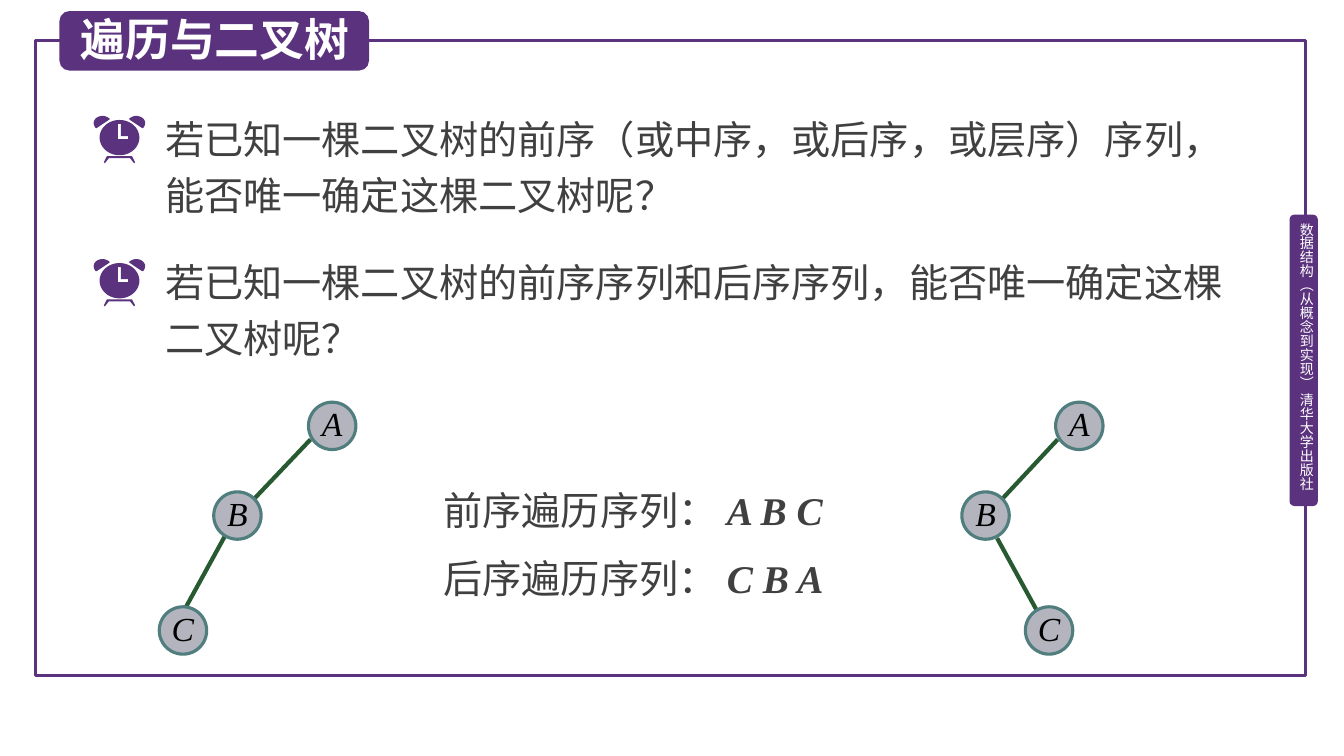
import math

import pptx
import pptx.dml.color
import pptx.enum.shapes
import pptx.enum.text
import pptx.oxml.ns
import pptx.util
from lxml import etree

PURPLE = pptx.dml.color.RGBColor(0x5A, 0x32, 0x7D)
WHITE = pptx.dml.color.RGBColor(0xFF, 0xFF, 0xFF)
BLACK = pptx.dml.color.RGBColor(0x00, 0x00, 0x00)
GREY = pptx.dml.color.RGBColor(0x40, 0x40, 0x40)
EDGE_GREEN = pptx.dml.color.RGBColor(0x28, 0x5A, 0x32)
NODE_FILL = pptx.dml.color.RGBColor(0xB4, 0xB4, 0xBE)
NODE_RIM = pptx.dml.color.RGBColor(0x50, 0x7D, 0x7D)

CHINESE = "Noto Sans CJK SC"
ROMAN = "Times New Roman"
SHAPES = pptx.enum.shapes.MSO_SHAPE

# The slide is a grid of square cells, ten to the inch
COLUMNS, ROWS = 133.3, 75
NODE = 4.7


def cells(count):
    return pptx.util.Inches(count / 10)


def add_span(para, text, size, color, font=CHINESE, bold=False, italic=False):
    span = para.add_run()
    span.text = text
    span.font.size = pptx.util.Pt(size)
    span.font.name = font
    span.font.bold = bold
    span.font.italic = italic
    span.font.color.rgb = color
    properties = span.font._element
    east_asian = etree.SubElement(properties, pptx.oxml.ns.qn("a:ea"))
    east_asian.set("typeface", font)


def add_preset(shapes, kind, box, fill=None, line=None):
    shape = shapes.add_shape(kind, *map(cells, box))
    shape.shadow.inherit = False
    if fill is None:
        shape.fill.background()
    else:
        shape.fill.solid()
        shape.fill.fore_color.rgb = fill
    if line is None:
        shape.line.fill.background()
    else:
        shape.line.color.rgb = line
        shape.line.width = pptx.util.Pt(2.25)
    return shape


def add_text_box(shapes, box):
    text_box = shapes.add_textbox(*map(cells, box))
    frame = text_box.text_frame
    frame.word_wrap = True
    frame.auto_size = pptx.enum.text.MSO_AUTO_SIZE.SHAPE_TO_FIT_TEXT
    return text_box, frame.paragraphs[0]


def clear_margins(frame):
    frame.margin_left = frame.margin_right = 0
    frame.margin_top = frame.margin_bottom = 0


def add_outline(shapes, left, top, contours):
    placed = [[(cells(left + x), cells(top + y)) for x, y in contour]
              for contour in contours]
    builder = shapes.build_freeform(*placed[0][0])
    builder.add_line_segments(placed[0][1:])
    for contour in placed[1:]:
        builder.move_to(*contour[0])
        builder.add_line_segments(contour[1:])
    shape = builder.convert_to_shape()
    shape.shadow.inherit = False
    shape.fill.solid()
    shape.fill.fore_color.rgb = PURPLE
    shape.line.fill.background()


def curve(start, first, second, end, steps=10):
    points = []
    for step in range(steps + 1):
        t = step / steps
        weights = ((1 - t) ** 3, 3 * t * (1 - t) ** 2, 3 * t * t * (1 - t), t ** 3)
        controls = (start, first, second, end)
        points.append(tuple(sum(w * p[axis] for w, p in zip(weights, controls))
                            for axis in (0, 1)))
    return points


def add_clock(shapes, left, top):
    width = 5.1
    feet = [(4.1, 4.6), (3.8, 4.0), (1.3, 4.0), (1.0, 4.6),
            (1.1, 4.7), (1.5, 4.2), (3.6, 4.2), (4.0, 4.7)]
    bell = (curve((0.9, 0), (0.4, 0), (0, 0.3), (0, 0.7))
            + curve((0, 0.7), (0, 0.9), (0.1, 1.1), (0.2, 1.2))
            + [(0.3, 1.2), (1.5, 0.4)]
            + curve((1.6, 0.3), (1.4, 0.1), (1.1, 0), (0.9, 0)))
    turns = [math.radians(angle) for angle in range(0, 360, 6)]
    face = [(width / 2 + 1.97 * math.cos(turn), 2.15 + 1.75 * math.sin(turn))
            for turn in turns]
    hands = [(2.4, 0.8), (2.7, 0.8), (2.7, 2.0), (3.4, 2.0), (3.4, 2.3), (2.4, 2.3)]
    mirrored_bell = [(width - x, y) for x, y in bell]
    for contours in ([feet], [bell], [mirrored_bell], [face, hands]):
        add_outline(shapes, left, top, contours)


def add_frame(page, box):
    left, top, width, height = box
    add_preset(page.shapes, SHAPES.RECTANGLE, box, line=PURPLE)
    # Side tab on the right border
    tab = page.shapes.add_group_shape().shapes
    tab_left, tab_top = left + width - 1.6, top + 17.3
    add_preset(tab, SHAPES.ROUNDED_RECTANGLE, (tab_left, tab_top, 2.8, 28.9), fill=PURPLE)
    label, para = add_text_box(tab, (tab_left + 0.8, tab_top + 0.8, 1.7, 28.1))
    clear_margins(label.text_frame)
    label.element.txBody.bodyPr.set("vert", "eaVert")
    add_span(para, "数据结构（从概念到实现） 清华大学出版社", 10, WHITE)


def add_title(page, box, text):
    left, top, width, height = box
    add_preset(page.shapes, SHAPES.ROUNDED_RECTANGLE, box, fill=PURPLE)
    label, para = add_text_box(page.shapes, (left + 1.1, top - 0.4, width - 1, height + 0.5))
    add_span(para, text, 32, WHITE, bold=True)


def add_question(page, box, text):
    left, top, width, height = box
    group = page.shapes.add_group_shape().shapes
    label, para = add_text_box(group, (left + 6.1, top, width - 6.1, height))
    para.line_spacing = pptx.util.Pt(40)
    add_span(para, text, 28, GREY)
    add_clock(group, left, top + 1.4)


def add_sequence(page, box, name, letters):
    label, para = add_text_box(page.shapes, box)
    para.alignment = pptx.enum.text.PP_ALIGN.JUSTIFY
    add_span(para, name, 28, GREY)
    add_span(para, letters, 28, GREY, ROMAN, bold=True, italic=True)


def add_tree(page, left, top, nodes, edges):
    """Edges run between points given relative to each node's corner."""
    group = page.shapes.add_group_shape().shapes
    for parent, start, child, end in edges:
        ends = [cells(origin + node + shift)
                for name, shifts in ((parent, start), (child, end))
                for origin, node, shift in zip((left, top), nodes[name], shifts)]
        edge = group.add_connector(pptx.enum.shapes.MSO_CONNECTOR.STRAIGHT, *ends)
        edge.line.color.rgb = EDGE_GREEN
        edge.line.width = pptx.util.Pt(3)
        etree.SubElement(edge.element.spPr, pptx.oxml.ns.qn("a:effectLst"))
    for name, (x, y) in nodes.items():
        node = add_preset(group, SHAPES.OVAL, (left + x, top + y, NODE, NODE),
                          fill=NODE_FILL, line=NODE_RIM)
        clear_margins(node.text_frame)
        node.text_frame.vertical_anchor = pptx.enum.text.MSO_ANCHOR.MIDDLE
        para = node.text_frame.paragraphs[0]
        para.alignment = pptx.enum.text.PP_ALIGN.CENTER
        para.line_spacing = pptx.util.Pt(25)
        add_span(para, name, 24, BLACK, ROMAN, italic=True)


def main():
    deck = pptx.Presentation()
    deck.slide_width, deck.slide_height = cells(COLUMNS), cells(ROWS)
    page = deck.slides.add_slide(deck.slide_layouts[6])

    add_frame(page, (3.5, 4, 126, 63))
    add_title(page, (5.9, 1.1, 30.7, 5.9), "遍历与二叉树")

    # Questions
    questions = ("若已知一棵二叉树的前序（或中序，或后序，或层序）序列，能否唯一确定这棵二叉树呢？",
                 "若已知一棵二叉树的前序序列和后序序列，能否唯一确定这棵二叉树呢？")
    for row, text in enumerate(questions):
        add_question(page, (9.3, 10.1 + 14.2 * row, 114.7, 12), text)

    # Two trees sharing the same sequences
    upper_edge = ("A", (0.2, 3.7), "B", (4, 0.7))
    add_tree(page, 15.8, 39.9, {"A": (14.8, 0), "B": (5.4, 8.9), "C": (0, 20.3)},
             [upper_edge, ("B", (1.1, 4.4), "C", (2.6, 0.1))])
    add_tree(page, 95.4, 39.9, {"A": (9.3, 0), "B": (0, 8.9), "C": (6.3, 20.3)},
             [upper_edge, ("B", (3.5, 4.6), "C", (1.1, 0.3))])

    # Sequences
    sequences = (("前序遍历序列：", "A B C"), ("后序遍历序列：", "C B A"))
    for row, (name, letters) in enumerate(sequences):
        add_sequence(page, (43, 47.8 + 6.7 * row, 42.1, 5.7), name, letters)

    deck.save("out.pptx")


if __name__ == "__main__":
    main()
